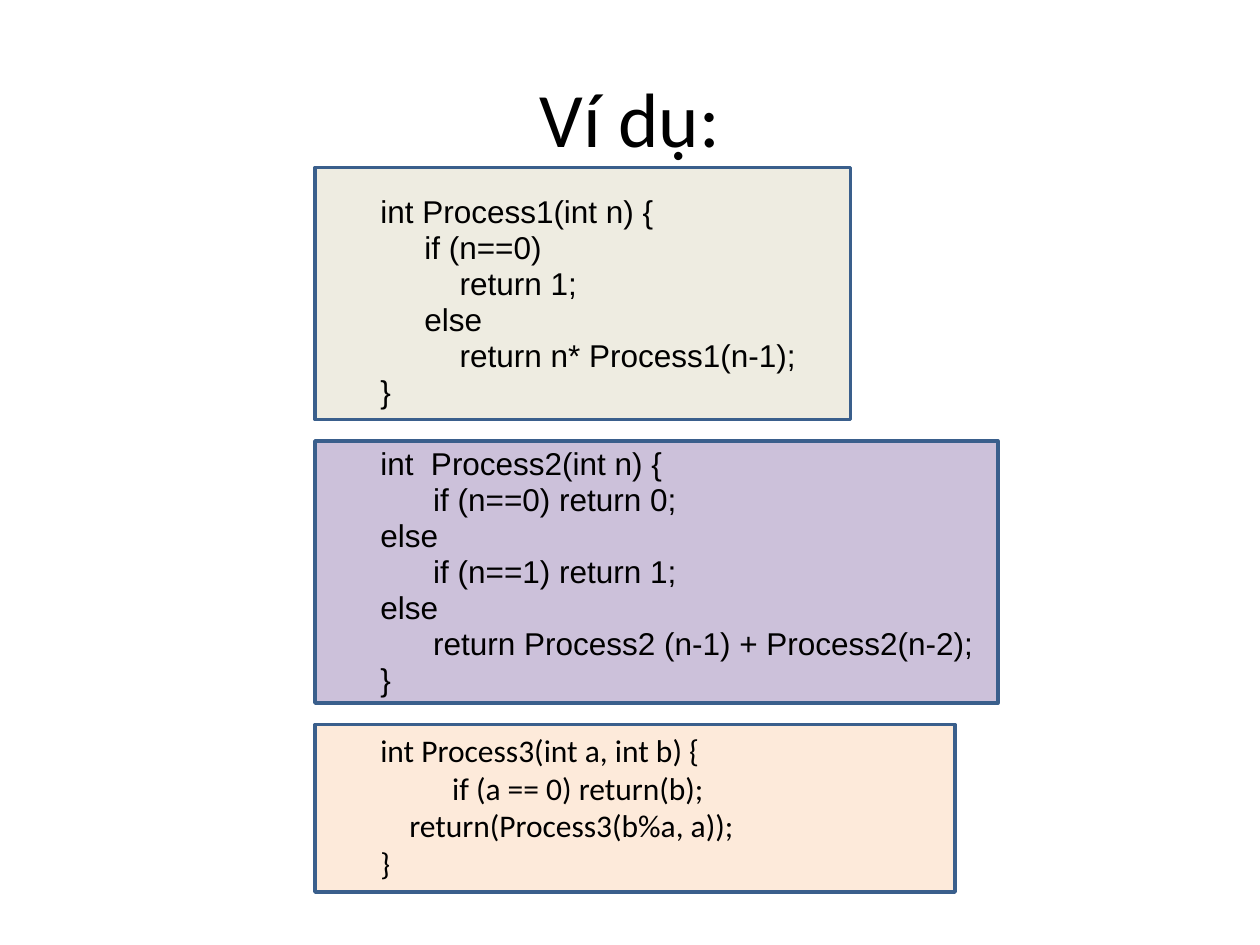
from pptx import Presentation
from pptx.dml.color import RGBColor
from pptx.enum.shapes import MSO_SHAPE
from pptx.enum.text import MSO_ANCHOR, PP_ALIGN
from pptx.util import Inches, Pt

COLORS = {
    "text": "000000",
    "border": "3A5F8C",
    "beige": "EEECE1",
    "purple": "CCC1DA",
    "peach": "FDEADA",
}

# Each panel: top, width, height, fill, text top, text width, text height, font,
# line spacing, code lines as (indent in inches, text)
PANELS = [
    (5.75, 5.08, 1.33, "peach", 5.75, 5, 1.31, "Calibri", 1.0, [
        (0, "int Process3(int a, int b) {"),
        (0.57, "if (a == 0) return(b);"),
        (0.23, "return(Process3(b%a, a));"),
        (0, "}"),
    ]),
    (3.5, 5.42, 2.08, "purple", 3.5, 5.33, 2.12, "Arial", 0.95, [
        (0, "int  Process2(int n) {"),
        (0.42, "if (n==0) return 0;"),
        (0, "else"),
        (0.42, "if (n==1) return 1;"),
        (0, "else"),
        (0.42, "return Process2 (n-1) + Process2(n-2);"),
        (0, "}"),
    ]),
    (1.33, 4.25, 2, "beige", 1.5, 3.92, 1.83, "Arial", 0.95, [
        (0, "int Process1(int n) {"),
        (0.35, "if (n==0)"),
        (0.63, "return 1;"),
        (0.35, "else"),
        (0.63, "return n* Process1(n-1);"),
        (0, "}"),
    ]),
]

presentation = Presentation()
presentation.slide_width = Inches(10)
presentation.slide_height = Inches(7.5)
slide = presentation.slides.add_slide(presentation.slide_layouts[6])


def add_text(left, top, width, height, lines, font_name, size, line_spacing=1.0):
    box = slide.shapes.add_textbox(
        Inches(left), Inches(top), Inches(width), Inches(height))
    text_frame = box.text_frame
    text_frame.word_wrap = True
    text_frame.text = "\n".join(text for _, text in lines)
    for paragraph, (indent, _) in zip(text_frame.paragraphs, lines):
        paragraph.line_spacing = line_spacing
        if indent:
            paragraph._p.get_or_add_pPr().set("marL", str(Inches(indent)))
        font = paragraph.runs[0].font
        font.name = font_name
        font.size = Pt(size)
        font.color.rgb = RGBColor.from_string(COLORS["text"])
    return text_frame


# Coloured panels
for top, width, height, fill, *_ in PANELS:
    panel = slide.shapes.add_shape(
        MSO_SHAPE.RECTANGLE, Inches(2.5), Inches(top), Inches(width), Inches(height))
    panel.shadow.inherit = False
    panel.fill.solid()
    panel.fill.fore_color.rgb = RGBColor.from_string(COLORS[fill])
    panel.line.color.rgb = RGBColor.from_string(COLORS["border"])
    panel.line.width = Pt(2)

# Title
title = add_text(0.5, 0.3, 9, 1.25, [(0, "Ví dụ:")], "Calibri", 44)
title.vertical_anchor = MSO_ANCHOR.MIDDLE
title.paragraphs[0].alignment = PP_ALIGN.CENTER

# Code on the panels
for *_, text_top, text_width, text_height, font_name, line_spacing, lines in PANELS:
    add_text(2.92, text_top, text_width, text_height, lines, font_name, 18, line_spacing)

presentation.save("out.pptx")
